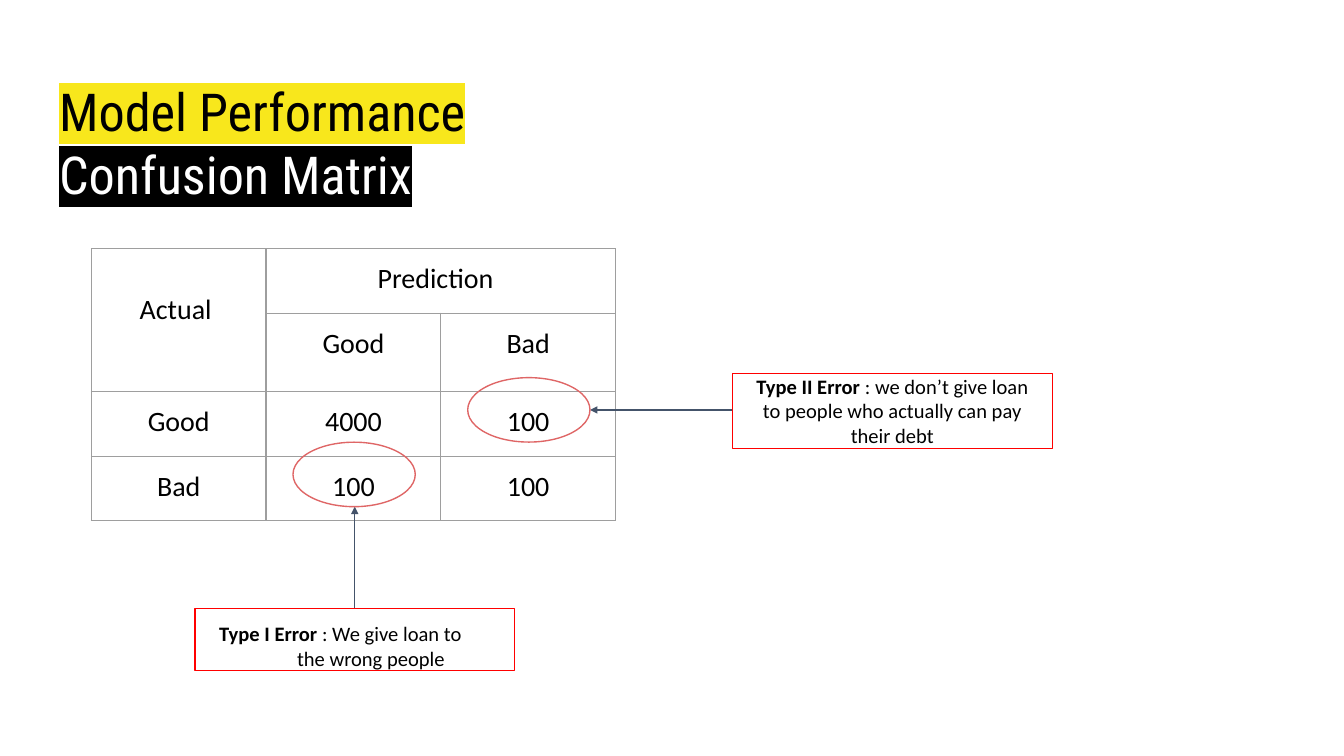
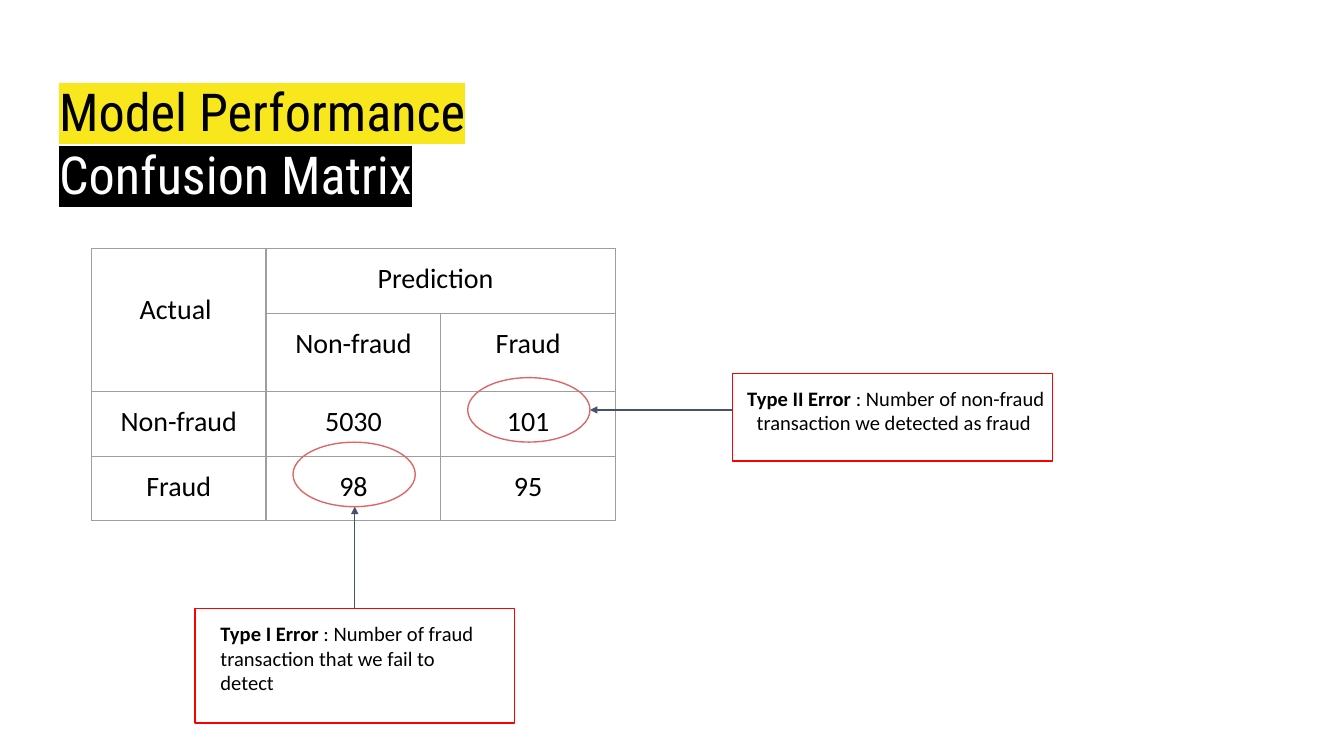
from lxml import etree
from pptx import Presentation
from pptx.dml.color import RGBColor
from pptx.enum.shapes import MSO_CONNECTOR, MSO_SHAPE
from pptx.enum.text import MSO_ANCHOR, MSO_AUTO_SIZE, PP_ALIGN
from pptx.oxml.ns import qn
from pptx.util import Inches, Pt

STRAIGHT = MSO_CONNECTOR.STRAIGHT
RECT, OVAL = MSO_SHAPE.RECTANGLE, MSO_SHAPE.OVAL
TOP = MSO_ANCHOR.TOP
NO_FIT = MSO_AUTO_SIZE.NONE
LEFT, CENTER = PP_ALIGN.LEFT, PP_ALIGN.CENTER

COLORS = {
    "black": "000000",
    "white": "FFFFFF",
    "yellow": "F8E71C",
    "border": "9E9E9E",
    "callout": "FF0000",
    "ring": "DF6666",
    "arrow": "44536A",
}
TITLE_FONT, BODY_FONT = "Roboto Condensed", "Calibri"
LINE_W = Pt(0.75)

TITLE = [("Model Performance", "black", "yellow"), ("Confusion Matrix", "white", "black")]
COL_W, ROW_H = 1.3, 0.48
RINGS = [(2.18, 3.29), (3.48, 2.81)]
ARROWS = [(2.64, 4.53, 2.64, 3.77), (5.45, 3.05, 4.39, 3.05)]

SLIDES = [
    {
        "labels": ["Good", "Bad"],
        "counts": [["4000", "100"], ["100", "100"]],
        "callouts": [
            {"x": 5.45, "y": 2.78, "h": 0.56, "top": 0, "right": 0.12, "align": CENTER,
             "paras": [(0.12, 0, [("Type II Error", True),
                                  (" : we don’t give loan to people who actually can pay their debt", False)])]},
            {"x": 1.45, "y": 4.53, "h": 0.46, "top": 0.09, "right": 0.25, "align": LEFT,
             "paras": [(0.76, -0.58, [("Type I Error", True),
                                      (" : We give loan to the wrong people", False)])]},
        ],
    },
    {
        "labels": ["Non-fraud", "Fraud"],
        "counts": [["5030", "101"], ["98", "95"]],
        "callouts": [
            {"x": 5.45, "y": 2.78, "h": 0.65, "top": 0.09, "right": 0, "align": LEFT,
             "paras": [(0.11, 0, [("Type II Error ", True), (": Number of non-fraud", False)]),
                       (0.18, 0, [("transaction we detected as fraud", False)])]},
            {"x": 1.45, "y": 4.53, "h": 0.85, "top": 0.09, "right": 0.25, "align": LEFT,
             "paras": [(0.19, 0, [("Type I Error", True),
                                  (" : Number of fraud transaction that we fail to detect", False)])]},
        ],
    },
]


def rgb(name):
    return RGBColor.from_string(COLORS[name])


def add_text(p, runs, size, align, left=0, indent=0):
    p.alignment = align
    pPr = p._p.get_or_add_pPr()
    pPr.set("marL", str(Inches(left)))
    pPr.set("indent", str(Inches(indent)))
    for text, bold in runs:
        r = p.add_run()
        r.text = text
        r.font.size = Pt(size)
        r.font.bold = bold
        r.font.name = BODY_FONT
        r.font.color.rgb = rgb("black")


prs = Presentation()
prs.slide_width = Inches(10)
prs.slide_height = Inches(10) * 9 // 16

for data in SLIDES:
    s = prs.slides.add_slide(prs.slide_layouts[5])

    title = s.shapes.title
    title.left, title.top = Inches(0.34), Inches(0.49)
    title.width, title.height = Inches(9.32), Inches(1.33)
    tf = title.text_frame
    tf.auto_size, tf.word_wrap, tf.vertical_anchor = NO_FIT, True, TOP
    tf.margin_left = tf.margin_right = tf.margin_top = tf.margin_bottom = Inches(0.1)
    for i, (text, color, highlight) in enumerate(TITLE):
        p = tf.add_paragraph() if i else tf.paragraphs[0]
        p.alignment = LEFT
        p.space_before = Pt(0)
        r = p.add_run()
        r.text = text
        r.font.size = Pt(28)
        r.font.color.rgb = rgb(color)
        mark = etree.SubElement(r._r.get_or_add_rPr(), qn("a:highlight"))
        etree.SubElement(mark, qn("a:srgbClr"), val=COLORS[highlight])
        r.font.name = TITLE_FONT

    frame = s.shapes.add_table(4, 3, Inches(0.68), Inches(1.85), Inches(3 * COL_W), Inches(4 * ROW_H))
    table = frame.table
    table.first_row = table.horz_banding = False
    for col in table.columns:
        col.width = Inches(COL_W)
    for row in table.rows:
        row.height = Inches(ROW_H)
    table.cell(0, 0).merge(table.cell(1, 0))
    table.cell(0, 1).merge(table.cell(0, 2))

    rows = [["Actual", "Prediction", ""], ["", *data["labels"]]]
    rows += [[label, *counts] for label, counts in zip(data["labels"], data["counts"])]
    header_left = {"Actual": 0.36, "Prediction": 0.83}
    for i, values in enumerate(rows):
        for j, text in enumerate(values):
            cell = table.cell(i, j)
            cell.margin_left = cell.margin_right = cell.margin_bottom = 0
            cell.margin_top = Inches(0.33 if text == "Actual" else 0.1)
            cell.vertical_anchor = TOP
            tcPr = cell._tc.get_or_add_tcPr()
            for side in ("lnL", "lnR", "lnT", "lnB"):
                ln = etree.SubElement(tcPr, qn("a:" + side), w=str(LINE_W))
                fill = etree.SubElement(ln, qn("a:solidFill"))
                etree.SubElement(fill, qn("a:srgbClr"), val=COLORS["border"])
            cell.fill.background()
            if text:
                align = LEFT if text in header_left else CENTER
                add_text(cell.text_frame.paragraphs[0], [(text, False)], 15, align, header_left.get(text, 0))

    for x1, y1, x2, y2 in ARROWS:
        arrow = s.shapes.add_connector(STRAIGHT, Inches(x1), Inches(y1), Inches(x2), Inches(y2))
        arrow.line.color.rgb = rgb("arrow")
        arrow.line.width = LINE_W
        etree.SubElement(arrow.line._get_or_add_ln(), qn("a:tailEnd"), type="triangle", w="sm", len="sm")
        etree.SubElement(arrow._element.spPr, qn("a:effectLst"))

    for x, y in RINGS:
        ring = s.shapes.add_shape(OVAL, Inches(x), Inches(y), Inches(0.91), Inches(0.48))
        ring.shadow.inherit = False
        ring.fill.background()
        ring.line.color.rgb = rgb("ring")
        ring.line.width = LINE_W

    for box in data["callouts"]:
        sp = s.shapes.add_shape(RECT, Inches(box["x"]), Inches(box["y"]), Inches(2.38), Inches(box["h"]))
        sp.shadow.inherit = False
        sp.fill.background()
        sp.line.color.rgb = rgb("callout")
        sp.line.width = LINE_W
        tf = sp.text_frame
        tf.word_wrap, tf.vertical_anchor = True, TOP
        tf.margin_left = tf.margin_bottom = 0
        tf.margin_top, tf.margin_right = Inches(box["top"]), Inches(box["right"])
        for i, (left, indent, runs) in enumerate(box["paras"]):
            p = tf.add_paragraph() if i else tf.paragraphs[0]
            add_text(p, runs, 11, box["align"], left, indent)

prs.save("out.pptx")
